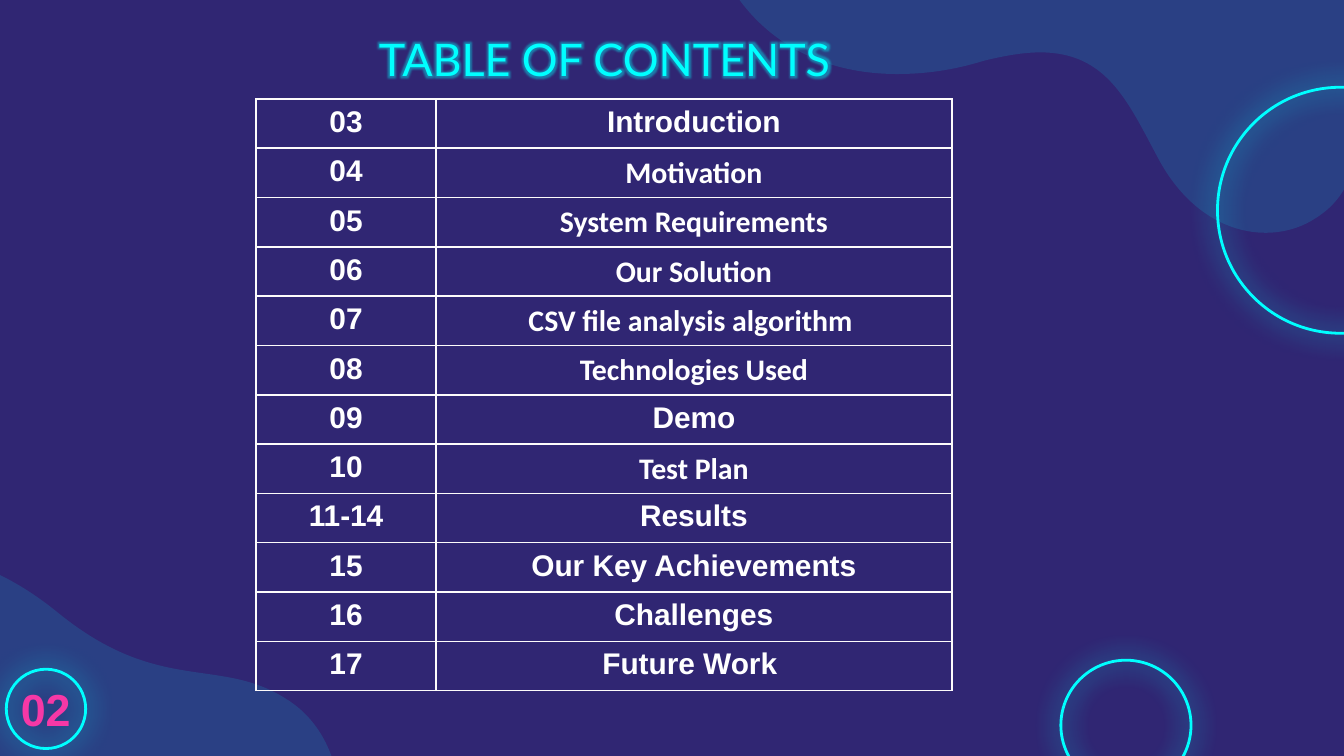
import pptx
import pptx.dml.color
import pptx.enum.shapes
import pptx.enum.text
import pptx.oxml
import pptx.oxml.ns
import pptx.util
from lxml import etree

Cm = pptx.util.Cm
Pt = pptx.util.Pt
RGBColor = pptx.dml.color.RGBColor
qn = pptx.oxml.ns.qn

NAVY = RGBColor(0x30, 0x26, 0x73)
CYAN = RGBColor(0x00, 0xFF, 0xFF)
PINK = RGBColor(0xF6, 0x38, 0xA6)
WHITE = RGBColor(0xFF, 0xFF, 0xFF)
BORDER = RGBColor(0xFD, 0xFB, 0xFB)

# Blob outline in cm: a start point, then curves of two controls and an end
BLOB_START = (11.53, 0)
BLOB_CURVES = [
    ((12.55, 0), (13.36, 0.41), (13.89, 0.99)),
    ((14.81, 2.03), (15.16, 3.73), (13.61, 6.27)),
    ((12.55, 8), (12.6, 9.04), (12.8, 10.74)),
    ((13, 12.47), (12.65, 13.21), (11.99, 13.61)),
    ((11.71, 13.79), (11.38, 13.87), (11.07, 13.87)),
    ((10.34, 13.87), (9.58, 13.44), (9.07, 12.52)),
    ((8.48, 11.43), (8.1, 10.46), (6.81, 10.46)),
    ((6.5, 10.46), (6.15, 10.52), (5.74, 10.62)),
    ((5.16, 10.8), (4.62, 10.87), (4.11, 10.87)),
    ((2.67, 10.87), (1.55, 10.24), (0.91, 9.14)),
    ((0.08, 7.62), (0, 4.95), (1.78, 3.84)),
    ((3.56, 2.69), (5.16, 3.73), (7.85, 1.55)),
    ((9.22, 0.43), (10.49, 0), BLOB_START),
]

CONTENTS = [
    ("03", "Introduction", "Arial"),
    ("04", "Motivation", "Calibri"),
    ("05", "System Requirements", "Calibri"),
    ("06", "Our Solution", "Calibri"),
    ("07", "CSV file analysis algorithm ", "Calibri"),
    ("08", "Technologies Used", "Calibri"),
    ("09", "Demo", "Arial"),
    ("10", "Test Plan", "Calibri"),
    ("11-14", "Results", "Arial"),
    ("15", "Our Key Achievements", "Arial"),
    ("16", "Challenges", "Arial"),
    ("17", "Future Work ", "Arial"),
]


def write_text(text_frame, text, size=16, font="Arial", color=WHITE, bold=True):
    """Write one centred paragraph and return its run."""
    paragraph = text_frame.paragraphs[0]
    paragraph.alignment = pptx.enum.text.PP_ALIGN.CENTER
    run = paragraph.add_run()
    run.text = text
    run.font.size = Pt(size)
    run.font.name = font
    run.font.bold = bold
    run.font.color.rgb = color
    return run


def add_color(parent, color, alpha=100):
    """Add an a:srgbClr with an opacity in percent."""
    element = etree.SubElement(parent, qn("a:srgbClr"), val=str(color))
    if alpha < 100:
        etree.SubElement(element, qn("a:alpha"), val=str(alpha * 1000))


presentation = pptx.Presentation()
presentation.slide_width = Cm(25.4)
presentation.slide_height = Cm(14.29)
slide = presentation.slides.add_slide(presentation.slide_layouts[5])
slide.background.fill.solid()
slide.background.fill.fore_color.rgb = NAVY

# Blobs: the lower left one is a smaller mirror image of the upper right one
blob_points = [BLOB_START] + [point for curve in BLOB_CURVES for point in curve]
for origin_x, origin_y, scale_x, scale_y in [(12.85, -9.47, 1, 1), (6.68, 10.49, -0.71, 0.71)]:
    outline = [(Cm(origin_x + scale_x * x), Cm(origin_y + scale_y * y)) for x, y in blob_points]
    builder = slide.shapes.build_freeform(*outline[0], scale=1.0)
    builder.add_line_segments(outline[1:], close=True)
    blob = builder.convert_to_shape()
    blob.shadow.inherit = False
    blob.line.fill.background()
    blob.fill.solid()
    blob.fill.fore_color.rgb = CYAN
    blob_color = blob._element.spPr.find(qn("a:solidFill")).find(qn("a:srgbClr"))
    etree.SubElement(blob_color, qn("a:alpha"), val="12000")
    # Every three line segments become one Bézier curve
    lines = list(blob._element.spPr.iter(qn("a:lnTo")))
    for index in range(0, len(lines), 3):
        curve = pptx.oxml.parse_xml(
            '<a:cubicBezTo xmlns:a="http://schemas.openxmlformats.org/drawingml/2006/main"/>')
        lines[index].addprevious(curve)
        for line in lines[index:index + 3]:
            curve.append(line[0])
            line.getparent().remove(line)

# Glowing rings
for left, top, diameter in [(20.05, 12.48, 2.46), (23.01, 1.65, 4.65), (0.12, 12.65, 1.5)]:
    ring = slide.shapes.add_shape(pptx.enum.shapes.MSO_SHAPE.OVAL,
                                  Cm(left), Cm(top), Cm(diameter), Cm(diameter))
    ring.fill.background()
    ring.line.color.rgb = CYAN
    ring.line.width = Pt(1.5)
    ring.shadow.inherit = False
    effects = ring._element.spPr.find(qn("a:effectLst"))
    shadow = etree.SubElement(effects, qn("a:outerShdw"), blurRad=str(Pt(14.6)),
                              algn="ctr", rotWithShape="0")
    add_color(shadow, CYAN)

# Title and page number
title = slide.shapes.title
title.left, title.top, title.width, title.height = Cm(4.25), Cm(0.3), Cm(14.35), Cm(1.6)
page_number = slide.shapes.add_textbox(Cm(-0.15), Cm(12.78), Cm(2.03), Cm(1.24))
for shape in (title, page_number):
    frame = shape.text_frame
    frame.word_wrap = True
    frame.vertical_anchor = pptx.enum.text.MSO_ANCHOR.MIDDLE
    frame.margin_left = frame.margin_right = Cm(0.25)
    frame.margin_top = frame.margin_bottom = Cm(0.25)
write_text(page_number.text_frame, "02", size=24, color=PINK)
title_run = write_text(title.text_frame, "TABLE OF CONTENTS", size=24, font="Lato",
                       color=CYAN, bold=False)
title_effects = pptx.oxml.parse_xml(
    '<a:effectLst xmlns:a="http://schemas.openxmlformats.org/drawingml/2006/main"/>')
glow = etree.SubElement(title_effects, qn("a:glow"), rad=str(Pt(5)))
add_color(glow, CYAN, alpha=40)
title_run._r.get_or_add_rPr().find(qn("a:solidFill")).addnext(title_effects)

# Contents table
row_height = Cm(0.69)
table_frame = slide.shapes.add_table(len(CONTENTS), 2, Cm(4.84), Cm(1.87), Cm(13.15),
                                     row_height * len(CONTENTS))
table = table_frame.table
table.first_row = False
table.horz_banding = False
table.columns[0].width = Cm(3.4)
table.columns[1].width = Cm(9.75)
for row, (pages, topic, topic_font) in enumerate(CONTENTS):
    table.rows[row].height = row_height
    for column, (text, font) in enumerate([(pages, "Arial"), (topic, topic_font)]):
        cell = table.cell(row, column)
        write_text(cell.text_frame, text, font=font)
        properties = cell._tc.get_or_add_tcPr()
        for side in ("a:lnL", "a:lnR", "a:lnT", "a:lnB"):
            border = etree.SubElement(properties, qn(side), w=str(Pt(1)))
            add_color(etree.SubElement(border, qn("a:solidFill")), BORDER)
        cell.fill.background()
table_frame.height = Cm(11.18)

presentation.save("out.pptx")
